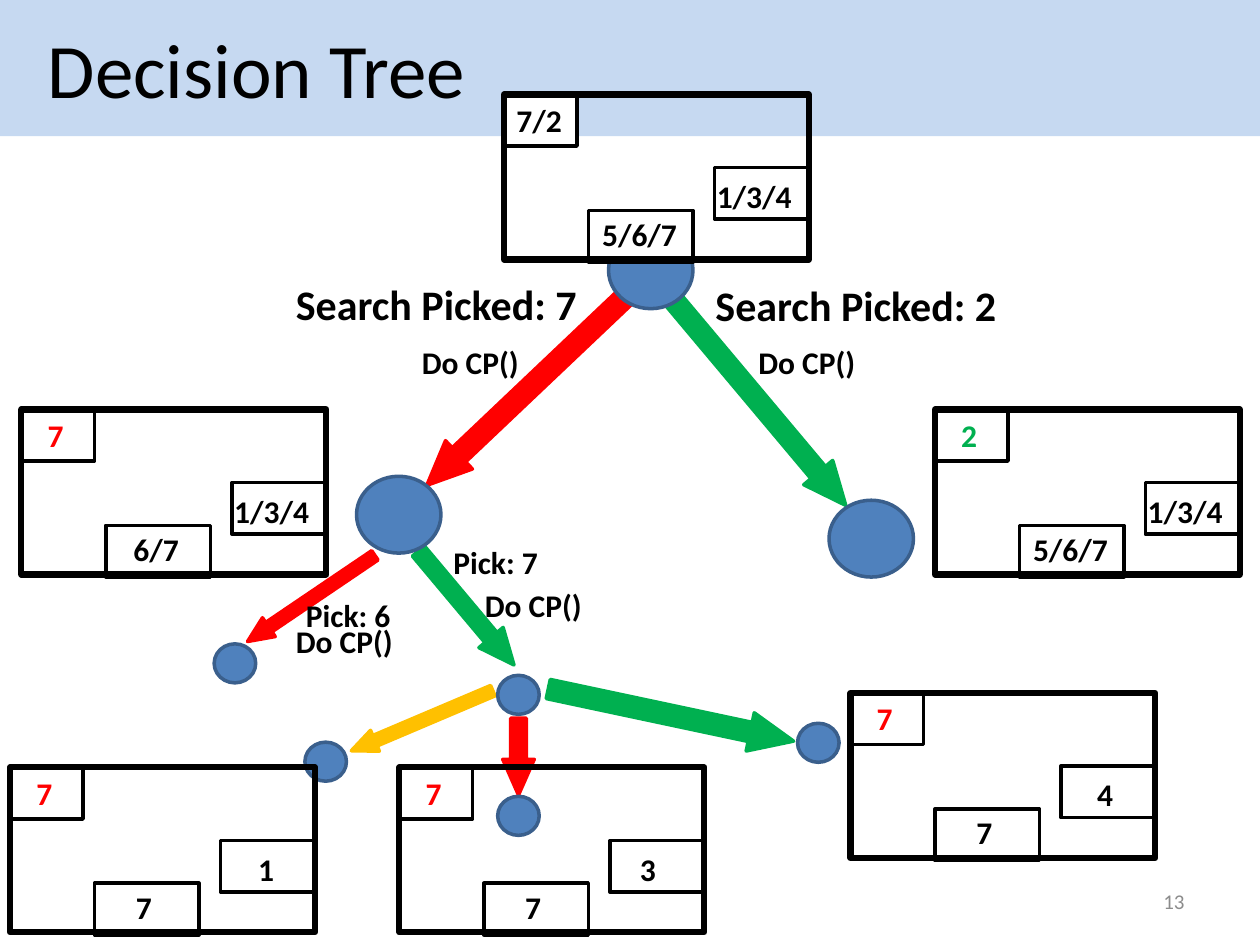
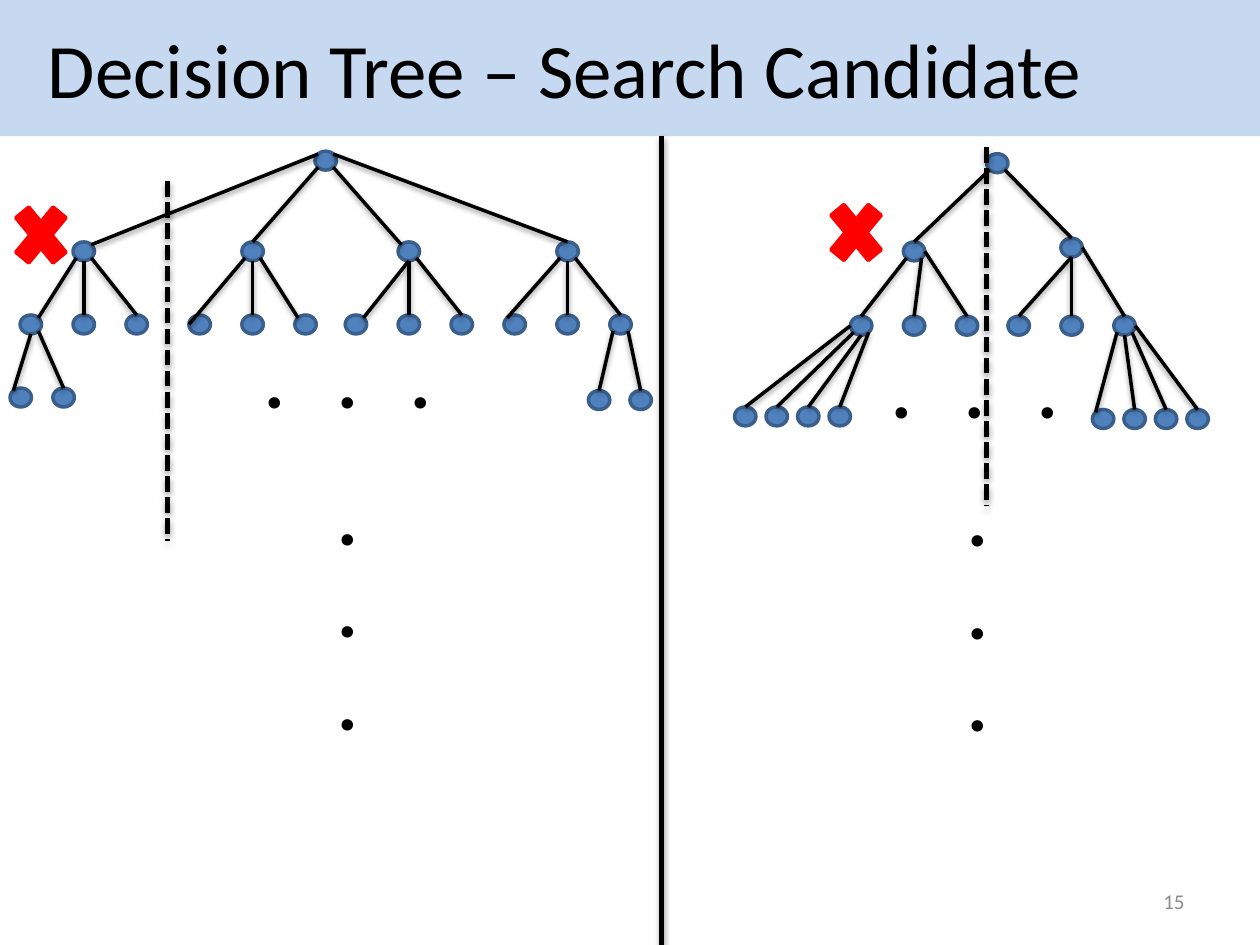
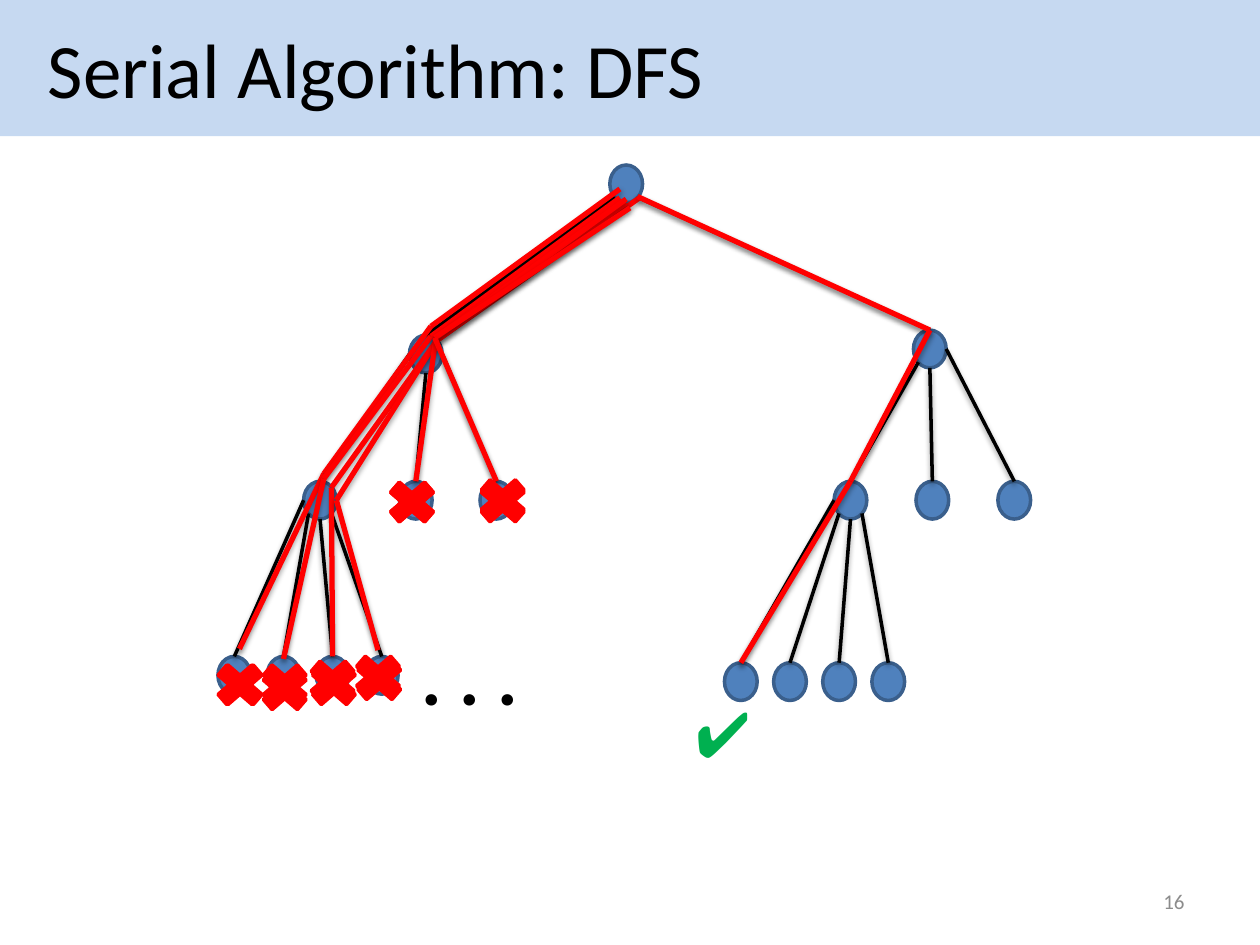
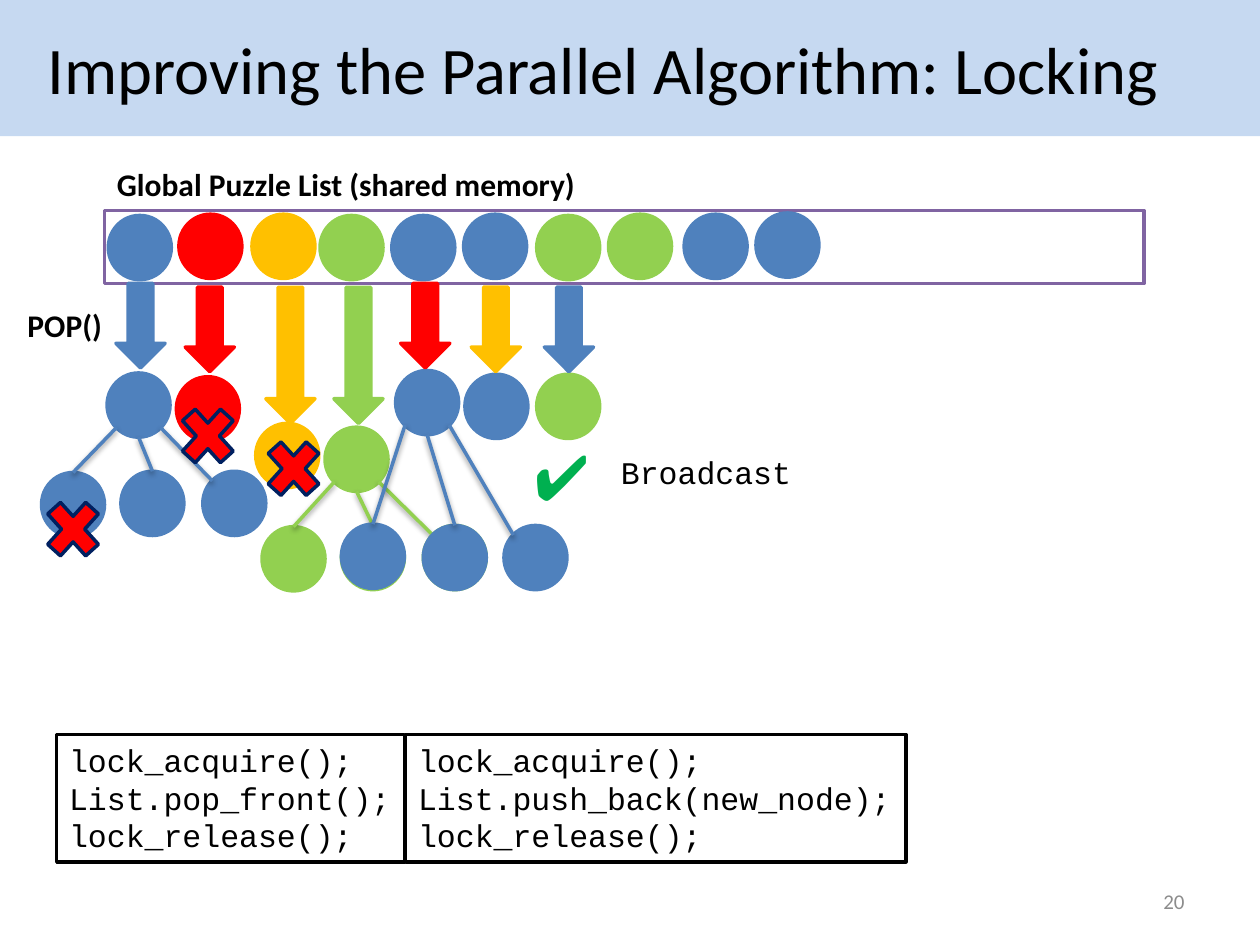
"""Build four slides on decision trees and the parallel search over them."""
from itertools import pairwise

from pptx import Presentation
from pptx.dml.color import RGBColor
from pptx.enum.dml import MSO_LINE_DASH_STYLE as DASH
from pptx.enum.shapes import MSO_CONNECTOR as LINK, MSO_SHAPE as SHAPE
from pptx.enum.text import MSO_ANCHOR as ANCHOR, PP_ALIGN as ALIGN
from pptx.oxml import parse_xml
from pptx.util import Inches, Pt

BLACK, WHITE, GREY, BAND = "000000", "FFFFFF", "8C8C8C", "C6D9F1"
BLUE, EDGE_BLUE, NAVY, PURPLE = "4F81BD", "3A5F8C", "002060", "8064A2"
RED, GREEN, LIME, AMBER = "FF0000", "00B050", "92D050", "FFC000"
SHADOW = (
    '<a:effectLst xmlns:a="http://schemas.openxmlformats.org/drawingml/2006/main">'
    '<a:outerShdw blurRad="40000" dist="{}" dir="5400000" rotWithShape="0">'
    '<a:srgbClr val="000000"><a:alpha val="{}"/></a:srgbClr></a:outerShdw></a:effectLst>'
)
SITES = [(0.5, 0), (0.15, 0.15), (0, 0.5), (0.15, 0.85),
         (0.5, 1), (0.85, 0.85), (1, 0.5), (0.85, 0.15)]


def draw(page, kind, at, fill=None, line=None, width=2):
    """Add a text box (kind None), a shadowed line or a preset shape."""
    place = [Inches(value) for value in at]
    if kind is None:
        return page.shapes.add_textbox(*place)
    if kind is LINK.STRAIGHT:
        shape = page.shapes.add_connector(kind, *place)
    else:
        shape = page.shapes.add_shape(kind, *place)
        shape.shadow.inherit = False
        if fill:
            shape.fill.solid()
            shape.fill.fore_color.rgb = RGBColor.from_string(fill)
        else:
            shape.fill.background()
    if line:
        shape.line.color.rgb = RGBColor.from_string(line)
        shape.line.width = Pt(width)
    else:
        shape.line.fill.background()
    if kind is LINK.STRAIGHT:
        values = (20000, 38000) if width == 2 else (23000, 35000)
        shape._element.spPr.append(parse_xml(SHADOW.format(*values)))
    return shape


def write(box, lines, size=18, bold=True, color=BLACK, name="Calibri",
          align=ALIGN.LEFT, spacing=0, **layout):
    """Fill a box with one paragraph per line and return the paragraphs."""
    frame = box.text_frame
    defaults = {"word_wrap": True, "vertical_anchor": ANCHOR.TOP, "margin_right": 0}
    for key, value in (defaults | layout).items():
        setattr(frame, key, value)
    for index, line in enumerate(lines):
        para = frame.add_paragraph() if index else frame.paragraphs[0]
        para.alignment = align
        span = para.add_run()
        span.text = line
        for key, value in {"size": Pt(size), "bold": bold, "name": name}.items():
            setattr(span.font, key, value)
        span.font.color.rgb = RGBColor.from_string(color)
        if spacing:
            span._r.get_or_add_rPr().set("spc", str(spacing * 100))
    return frame.paragraphs


deck = Presentation()
deck.slide_width, deck.slide_height = Inches(10), Inches(7.5)
pages = []
for title, size, number in [
    ("Decision Tree", 44, 13),
    ("Decision Tree – Search Candidate", 44, 15),
    ("Serial Algorithm: DFS", 44, 16),
    ("Improving the Parallel Algorithm: Locking", 38, 20),
]:
    page = deck.slides.add_slide(deck.slide_layouts[6])
    pages.append(page)
    write(draw(page, SHAPE.RECTANGLE, (0, 0, 10, 1.08), BAND), [title], size, False,
          vertical_anchor=ANCHOR.MIDDLE, margin_left=Inches(0.38))
    write(draw(page, None, (7.17, 6.95, 2.33, 0.4)), [str(number)], 12, False, GREY,
          align=ALIGN.RIGHT, vertical_anchor=ANCHOR.MIDDLE, margin_right=Inches(0.1))
decision, candidate, serial, locking = pages

branches = [0.58, 1.92, 3.16, 4.42]
quad_tree = (
    [(2.5, 1.2)] + [(x, 1.92) for x in branches]
    + [(x + step, 2.5) for x in branches for step in (-0.42, 0, 0.42)]
    + [(0.08, 3.08), (0.42, 3.08), (4.67, 3.1), (5, 3.1)]
)
pair_tree = (
    [(7.83, 1.22), (7.17, 1.92), (8.42, 1.89)]
    + [(x + step, 2.51) for x in (7.17, 8.42) for step in (-0.42, 0, 0.42)]
    + [(x + 0.25 * index, y) for x, y in ((5.83, 3.23), (8.67, 3.25)) for index in range(4)]
)
serial_tree = (
    [(4.84, 1.31), (3.25, 2.66), (7.25, 2.62)]
    + [(x, 3.82) for x in (2.41, 3.17, 3.81, 6.62, 7.27, 7.92)]
    + [(x + 0.39 * index, y) for x, y in ((1.73, 5.21), (5.75, 5.26)) for index in range(4)]
)
quad_fans = [(0, 1, "1357", "7010"), (1, 5, "345", "700"), (2, 8, "345", "201"),
             (3, 11, "445", "700"), (4, 14, "345", "100"), (5, 17, "45", "10"),
             (16, 19, "35", "00")]
pair_fans = [(0, 1, "35", "00"), (1, 3, "356", "000"), (2, 6, "446", "000"),
             (3, 9, "2345", "0000"), (8, 13, "3456", "1000")]
serial_fans = [(0, 1, "35", "00"), (1, 3, "246", "000"), (2, 6, "346", "000"),
               (3, 9, "2345", "0000"), (6, 13, "2345", "0000")]
pop_fan = [(0, 1, "345", "001")]
dot, oval, disc = (0.17, 0.15), (0.26, 0.3), (0.5, 0.51)
for page, size, colors, nodes, fans in [
    (candidate, dot, (BLUE, EDGE_BLUE, BLACK), quad_tree, quad_fans),
    (candidate, dot, (BLUE, EDGE_BLUE, BLACK), pair_tree, pair_fans),
    (serial, oval, (BLUE, EDGE_BLUE, BLACK), serial_tree, serial_fans),
    (locking, disc, (BLUE,) * 3, [(0.85, 2.96), (0.33, 3.75), (0.96, 3.74), (1.61, 3.74)], pop_fan),
    (locking, disc, (LIME,) * 3, [(2.58, 3.39), (2.08, 4.18), (2.71, 4.17), (3.36, 4.17)], pop_fan),
    (locking, disc, (BLUE,) * 3, [(3.14, 2.94), (2.71, 4.16), (3.36, 4.17), (4, 4.17)], pop_fan),
]:
    fill, outline, edge = colors
    for node in nodes:
        draw(page, SHAPE.OVAL, (*node, *size), fill, outline)
    for parent, first, starts, ends in fans:
        for index, (start, end) in enumerate(zip(starts, ends)):
            points = [
                corner + length * share
                for node, site in ((parent, start), (first + index, end))
                for corner, length, share in zip(nodes[node], size, SITES[int(site)])
            ]
            draw(page, LINK.STRAIGHT, points, line=edge)

for at, turn, color in [
    ((3.09, 2.95, 2.17, 0.31), 316.5, RED),
    ((4.93, 3.03, 2.17, 0.3), 230, GREEN),
    ((1.86, 4.66, 1.22, 0.18), 325.9, RED),
    ((3.11, 4.7, 1.18, 0.25), 230, GREEN),
    ((2.74, 5.63, 1.22, 0.18), 337, AMBER),
    ((3.81, 5.88, 0.61, 0.25), 270, RED),
    ((4.33, 5.52, 1.99, 0.31), 192, GREEN),
]:
    arrow = draw(decision, SHAPE.LEFT_ARROW, at, color, color)
    arrow.rotation = turn
    arrow.adjustments[0], arrow.adjustments[1] = 0.5, 1.135
for size, places in [
    ((0.67, 0.61), [(4.83, 1.84), (2.83, 3.78), (6.58, 3.97)]),
    ((0.33, 0.31), [(3.95, 5.36), (1.7, 5.11), (2.42, 5.89), (3.95, 6.32), (6.33, 5.74)]),
]:
    for place in places:
        draw(decision, SHAPE.OVAL, (*place, *size), BLUE, EDGE_BLUE)

for left, top, color, entries in [
    (4, 0.75, BLACK, [("7/2", 0), ("1/3/4", 1.59), ("5/6/7", 0.68)]),
    (0.17, 3.25, RED, [("7", 0.11), ("1/3/4", 1.59), ("6/7", 0.79)]),
    (7.42, 3.25, GREEN, [("2", 0.11), ("1/3/4", 1.59), ("5/6/7", 0.68)]),
    (6.75, 5.5, RED, [("7", 0.11), ("4", 1.86), ("7", 0.9)]),
    (0.08, 6.09, RED, [("7", 0.11), ("1", 1.87), ("7", 0.9)]),
    (3.17, 6.09, RED, [("7", 0.11), ("3", 1.81), ("7", 0.9)]),
]:
    for dx, dy, width in [(1.67, 0.58, 0.75), (0.67, 0.92, 0.83), (0, 0, 0.58)]:
        draw(decision, SHAPE.RECTANGLE, (left + dx, top + dy, width, 0.41), WHITE, BLACK)
    board = draw(decision, SHAPE.RECTANGLE, (left, top, 2.42, 1.31), line=BLACK, width=3.5)
    paras = write(board, [value for value, indent in entries])
    for para, (value, indent) in zip(paras, entries):
        para._p.get_or_add_pPr().set("marL", str(Inches(indent)))
    paras[0].runs[0].font.color.rgb = RGBColor.from_string(color)
    paras[1].space_before = Pt(22)

for label, at, size in [
    ("Search Picked: 7", (2.25, 2.16, 2.58, 0.5), 24),
    ("Search Picked: 2", (5.58, 2.17, 2.58, 0.5), 24),
    ("Do CP()", (3.25, 2.67, 1, 0.4), 18),
    ("Do CP()", (5.92, 2.67, 1, 0.4), 18),
    ("Pick: 7", (3.5, 4.26, 1.27, 0.4), 18),
    ("Do CP()", (3.75, 4.6, 1, 0.4), 18),
    ("Pick: 6", (2.33, 4.68, 1.27, 0.4), 18),
    ("Do CP()", (2.25, 4.89, 1, 0.4), 18),
]:
    write(draw(decision, None, at), [label], size)

draw(candidate, LINK.STRAIGHT, (5.25, 1.08, 5.25, 7.5), line=BLACK, width=3)
for cross, cut, row, column in [
    ((0.04, 1.52), (1.33, 1.44), (2, 2.58), (2.58, 3.67)),
    ((6.51, 1.5), (7.83, 1.17), (6.98, 2.66), (7.58, 3.68)),
]:
    draw(candidate, SHAPE.MATH_MULTIPLY, (*cross, 0.57, 0.69), RED, RED)
    x, y = cut
    cut_line = draw(candidate, LINK.STRAIGHT, (x, y, x, y + 2.85), line=BLACK, width=3)
    cut_line.line.dash_style = DASH.SQUARE_DOT
    write(draw(candidate, None, (*row, 1.61, 0.84)), [". . ."], 44, spacing=10)
    write(draw(candidate, None, (*column, 0.42, 2.32)), ["."] * 3, 44)

write(draw(serial, None, (3.25, 4.94, 1.33, 0.84)), [". . ."], 44)
for route, crosses in [
    ([(4.92, 1.5), (3.42, 2.59), (2.57, 3.76), (1.9, 5.15)], [(1.65, 5.21), (1.64, 5.21)]),
    ([(4.92, 1.57), (3.42, 2.67), (2.57, 3.8), (2.25, 5.23)], [(2, 5.21), (2, 5.25)]),
    ([(5.09, 1.56), (3.47, 2.7), (2.63, 3.87), (2.64, 5.21)], [(2.38, 5.18), (2.39, 5.21)]),
    ([(4.97, 1.61), (3.47, 2.7), (2.67, 3.97), (3, 5.16)], [(2.74, 5.14), (2.75, 5.17)]),
    ([(4.97, 1.58), (3.46, 2.68), (3.3, 3.82)], [(3.01, 3.76), (3.01, 3.76)]),
    ([(5, 1.65), (3.45, 2.68), (3.94, 3.82)], [(3.73, 3.74), (3.73, 3.76)]),
    ([(5.06, 1.56), (7.38, 2.62), (6.75, 3.82), (5.88, 5.26)], []),
]:
    for start, end in pairwise(route):
        draw(serial, LINK.STRAIGHT, (*start, *end), line=RED, width=3)
    for cross in crosses:
        draw(serial, SHAPE.MATH_MULTIPLY, (*cross, 0.52, 0.45), RED, RED)

draw(locking, SHAPE.RECTANGLE, (0.83, 1.67, 8.25, 0.58), WHITE, PURPLE)
for x, y, color in [
    (0.86, 1.71, BLUE), (1.42, 1.7, RED), (2, 1.7, AMBER), (2.54, 1.71, LIME),
    (3.11, 1.71, BLUE), (3.68, 1.7, BLUE), (4.26, 1.71, LIME), (4.83, 1.7, LIME),
    (5.43, 1.7, BLUE), (6, 1.69, BLUE),
    (1.4, 2.99, RED), (2.03, 3.36, AMBER), (3.69, 2.97, BLUE), (4.26, 2.97, LIME),
]:
    draw(locking, SHAPE.OVAL, (x, y, *disc), color, color)
for x, y, height, color in [
    (0.92, 2.25, 0.67, BLUE), (1.47, 2.28, 0.67, RED), (2.11, 2.28, 1.08, AMBER),
    (2.65, 2.28, 1.08, LIME), (3.18, 2.25, 0.67, RED), (3.74, 2.28, 0.67, AMBER),
    (4.32, 2.28, 0.67, BLUE),
]:
    draw(locking, SHAPE.DOWN_ARROW, (x, y, 0.39, height), color, color)
for cross in [(2.04, 3.4), (1.36, 3.14), (0.29, 3.88)]:
    draw(locking, SHAPE.MATH_MULTIPLY, (*cross, 0.58, 0.64), RED, NAVY)
for page, place in [(serial, (5.42, 5.46)), (locking, (4.14, 3.42))]:
    write(draw(page, None, (*place, 0.74, 0.71)), ["✔"], 36, False, GREEN)
write(draw(locking, None, (0.83, 1.26, 3.9, 0.4)), ["Global Puzzle List (shared memory)"])
write(draw(locking, None, (0.12, 2.38, 0.8, 0.4)), ["POP()"])
write(draw(locking, None, (4.83, 3.55, 1.56, 0.4)), ["Broadcast"], bold=False, name="Courier New")
for left, width, call in [
    (0.45, 2.76, "List.pop_front();"),
    (3.22, 3.97, "List.push_back(new_node);"),
]:
    box = draw(locking, SHAPE.RECTANGLE, (left, 5.83, width, 1.01), line=BLACK)
    write(box, ["lock_acquire();", call, "lock_release();"], bold=False, name="Courier New")

deck.save("out.pptx")
